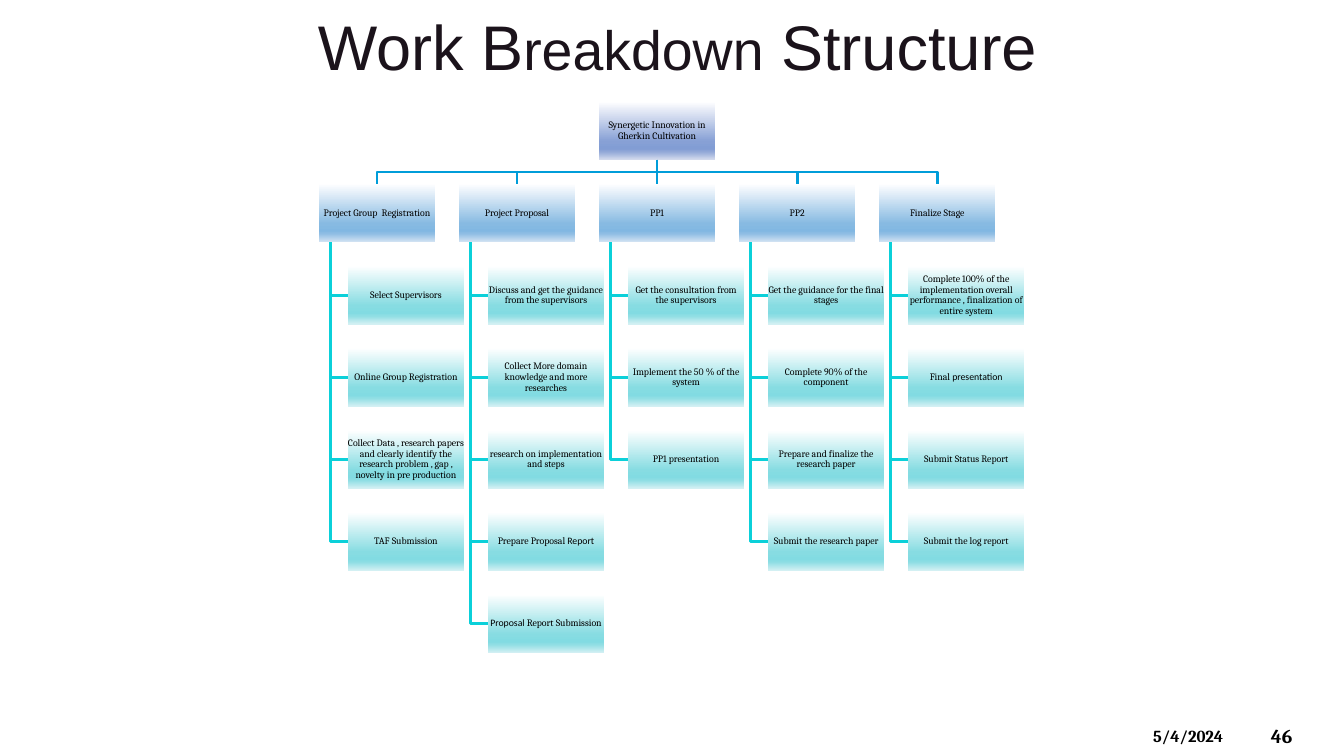
"""Build a work breakdown structure slide."""
import copy

import lxml.etree
import pptx
import pptx.enum.shapes
import pptx.enum.text
import pptx.oxml.ns
import pptx.util
from pptx.dml.color import RGBColor
from pptx.util import Cm

BLACK = RGBColor(0x00, 0x00, 0x00)
TITLE_INK = RGBColor(0x1B, 0x13, 0x1B)
STAGE_LINE = RGBColor(0x00, 0x9D, 0xD9)
TASK_LINE = RGBColor(0x0B, 0xD0, 0xD9)
PROJECT_SHADES = [RGBColor(0xFE, 0xFE, 0xFF), RGBColor(0x87, 0xA0, 0xD5), RGBColor(0x82, 0x9D, 0xD4),
                  RGBColor(0x91, 0xA7, 0xD7), RGBColor(0xD4, 0xDB, 0xED)]
STAGE_SHADES = [RGBColor(0xFE, 0xFE, 0xFF), RGBColor(0x87, 0xBA, 0xE2), RGBColor(0x81, 0xB7, 0xE2),
                RGBColor(0x90, 0xBE, 0xE4), RGBColor(0xD3, 0xE3, 0xF3)]
TASK_SHADES = [RGBColor(0xFE, 0xFF, 0xFF), RGBColor(0x87, 0xDC, 0xE2), RGBColor(0x82, 0xDB, 0xE2),
               RGBColor(0x90, 0xDE, 0xE4), RGBColor(0xD3, 0xF0, 0xF3)]
SHADE_POSITIONS = [0, 0.68, 0.81, 0.86, 1]

BOX_WIDTH, BOX_HEIGHT = Cm(2.92), Cm(1.46)
CHART_LEFT, CHART_TOP = Cm(8.04), Cm(2.57)
STAGE_PITCH, LEVEL_PITCH = Cm(3.53), Cm(2.07)
TASK_INDENT, SPINE_INDENT = Cm(0.73), Cm(0.29)
LINE_WIDTH = pptx.util.Pt(2)

PROJECT = "Synergetic Innovation in Gherkin Cultivation"
CALIBRI = {"font": "Calibri"}
STAGES = [
    ("Project Group  Registration", [
        "Select Supervisors",
        "Online Group Registration",
        "Collect Data , research papers and clearly identify the research problem , gap , "
        "novelty in pre production",
        "TAF Submission"]),
    ("Project Proposal", [
        "Discuss and get the guidance from the supervisors",
        "Collect More domain knowledge and more researches",
        "research on implementation and steps",
        [("Prepare Proposal ", {}), ("Report", CALIBRI)],
        [("Proposal", CALIBRI), (" Report Submission", {})]]),
    ("PP1", [
        "Get the consultation from the supervisors",
        "Implement the 50 % of the system",
        "PP1 presentation"]),
    ("PP2", [
        "Get the guidance for the final stages",
        "Complete 90% of the component",
        "Prepare and finalize the research paper",
        "Submit the research paper"]),
    ("Finalize Stage", [
        "Complete 100% of the implementation overall performance , finalization of entire system",
        [("Final ", {}), ("presentation", CALIBRI)],
        "Submit Status Report",
        "Submit the log report"]),
]


def write(shape, text, font="Cambria", size=7, color=BLACK, bold=False, align="CENTER", spacing=1.0):
    """Fill a shape with a string, or with (words, format changes) parts."""
    frame = shape.text_frame
    frame.word_wrap = True
    frame.vertical_anchor = pptx.enum.text.MSO_ANCHOR.MIDDLE
    frame.margin_left = frame.margin_right = frame.margin_top = frame.margin_bottom = 0
    paragraph = frame.paragraphs[0]
    paragraph.alignment = pptx.enum.text.PP_ALIGN[align]
    paragraph.line_spacing = spacing
    for words, changes in [(text, {})] if isinstance(text, str) else text:
        run = paragraph.add_run()
        run.text = words
        run.font.name = changes.get("font", font)
        run.font.size = pptx.util.Pt(changes.get("size", size))
        run.font.bold = bold
        run.font.color.rgb = color


def add_label(slide, left, top, width, height, text, **text_format):
    """Add a free-standing text box."""
    write(slide.shapes.add_textbox(left, top, width, height), text, **text_format)


def shade(box, colors):
    """Apply a top-to-bottom gradient."""
    box.fill.gradient()
    box.fill.gradient_angle = 270
    stops = box._element.spPr.find(".//" + pptx.oxml.ns.qn("a:gsLst"))
    while len(stops) < len(colors):
        stops.append(copy.deepcopy(stops[0]))
    for stop, position, color in zip(box.fill.gradient_stops, SHADE_POSITIONS, colors):
        stop.position = position
        stop.color.rgb = color


def add_box(slide, left, top, text, colors):
    """Add one shaded box of the breakdown."""
    box = slide.shapes.add_shape(
        pptx.enum.shapes.MSO_SHAPE.RECTANGLE, left, top, BOX_WIDTH, BOX_HEIGHT)
    box.shadow.inherit = False
    box.line.fill.background()
    shade(box, colors)
    write(box, text, spacing=0.9)
    return box


def add_branch(slide, points, color):
    """Add an open bent line through the points."""
    builder = slide.shapes.build_freeform(*points[0])
    builder.add_line_segments(points[1:], close=False)
    branch = builder.convert_to_shape()
    branch.shadow.inherit = False
    branch.fill.background()
    branch.line.color.rgb = color
    branch.line.width = LINE_WIDTH


def add_stem(slide, upper, lower):
    """Join the bottom of one box to the top of the box below."""
    stem = slide.shapes.add_connector(pptx.enum.shapes.MSO_CONNECTOR.STRAIGHT, 0, 0, 0, 0)
    stem.begin_connect(upper, 2)
    stem.end_connect(lower, 0)
    stem.line.color.rgb = STAGE_LINE
    stem.line.width = LINE_WIDTH
    lxml.etree.SubElement(stem._element.spPr, pptx.oxml.ns.qn("a:effectLst"))


def add_stage(slide, project, left, name, tasks):
    """Add a stage, its tasks and the lines that lead to them."""
    stage_top = CHART_TOP + LEVEL_PITCH
    stage = add_box(slide, left, stage_top, name, STAGE_SHADES)
    start = project.left + BOX_WIDTH // 2
    end = left + BOX_WIDTH // 2
    if start == end:
        add_stem(slide, project, stage)
    else:
        project_bottom = CHART_TOP + BOX_HEIGHT
        middle = (project_bottom + stage_top) // 2
        add_branch(slide, [(start, project_bottom), (start, middle), (end, middle), (end, stage_top)],
                   STAGE_LINE)
    spine = left + SPINE_INDENT
    for level, task in enumerate(tasks, 1):
        top = stage_top + level * LEVEL_PITCH
        middle = top + BOX_HEIGHT // 2
        task_left = left + TASK_INDENT
        add_branch(slide, [(spine, stage_top + BOX_HEIGHT), (spine, middle), (task_left, middle)],
                   TASK_LINE)
        add_box(slide, task_left, top, task, TASK_SHADES)


def main():
    """Build and save the slide."""
    deck = pptx.Presentation()
    deck.slide_width, deck.slide_height = Cm(33.87), Cm(19.05)
    slide = deck.slides.add_slide(deck.slide_layouts[6])
    add_label(slide, Cm(0.84), Cm(0.23), Cm(32.46), Cm(1.83),
              [("Work B", {}), ("reakdown", {"size": 39.6}), (" Structure", {})],
              font="Arial", size=45, color=TITLE_INK)
    project = add_box(slide, CHART_LEFT + len(STAGES) // 2 * STAGE_PITCH, CHART_TOP,
                      PROJECT, PROJECT_SHADES)
    for column, (name, tasks) in enumerate(STAGES):
        add_stage(slide, project, CHART_LEFT + column * STAGE_PITCH, name, tasks)
    add_label(slide, Cm(29.06), Cm(18.16), Cm(2.46), Cm(0.76), "5/4/2024",
              size=12, bold=True, align="LEFT")
    add_label(slide, Cm(32.03), Cm(18.03), Cm(1.62), Cm(1.02), "46",
              size=14, bold=True, align="LEFT")
    deck.save("out.pptx")


if __name__ == "__main__":
    main()
